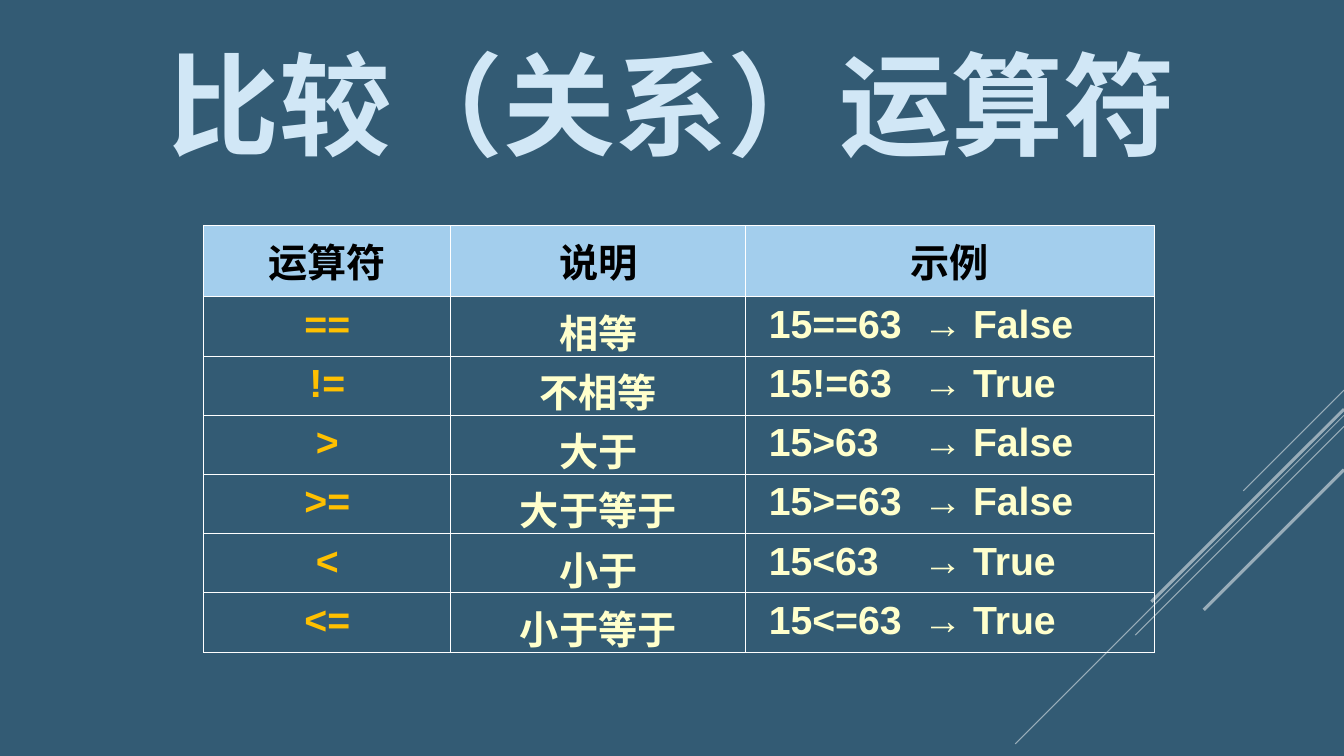
from lxml.etree import SubElement as Sub
from pptx import Presentation
from pptx.dml.color import RGBColor
from pptx.enum.shapes import MSO_CONNECTOR as Conn
from pptx.enum.text import PP_ALIGN as Align
from pptx.oxml.ns import qn
from pptx.util import Inches, Pt

WIDE, HIGH = 13.33, 7.5
HAN, LATIN = "Noto Sans CJK SC", "Arial"
CREAM, GOLD, WHITE = "FFFFCC", "FFC000", "FFFFFF"
RAYS = [(3.87, 1, 0.75), (4.12, 3.26, 0.75), (4.23, 2.07, 0.75),
        (4.06, 1.91, 2.25), (4.66, 1.39, 2.25)]
HEADS = ["运算符", "说明", "示例"]
ROWS = [("==", "相等", "False"), ("!=", "不相等", "True"),
        (">", "大于", "False"), (">=", "大于等于", "False"),
        ("<", "小于", "True"), ("<=", "小于等于", "True")]


def color(code):
    return RGBColor.from_string(code)


def write(para, text, size, face, tint, align=Align.CENTER):
    para.alignment = align
    run = para.add_run()
    run.text = text
    font = run.font
    font.size, font.bold, font.name = Pt(size), True, face
    font.color.rgb = color(tint)
    Sub(font._element, qn("a:ea"), typeface=face)


def draw_rays(slide, right):
    for top, span, width in RAYS:
        ends = [Inches(n) for n in (right, top, right - span, top + span)]
        ray = slide.shapes.add_connector(Conn.STRAIGHT, *ends)
        ray.line.width = Pt(width)
        ray.line.color.rgb = color(WHITE)
        tint = ray.line._ln.find(".//" + qn("a:srgbClr"))
        Sub(tint, qn("a:alpha"), val="50000")
        Sub(ray._element.spPr, qn("a:effectLst"))


def draw_title(slide, *box):
    shape = slide.shapes.add_textbox(*map(Inches, box))
    frame = shape.text_frame
    frame.word_wrap = True
    write(frame.paragraphs[0], "比较（关系）运算符", 80, HAN, "D1E7F6")


def frame_cell(cell):
    props = cell._tc.get_or_add_tcPr()
    for spot, side in enumerate(("a:lnL", "a:lnR", "a:lnT", "a:lnB")):
        edge = props.makeelement(qn(side), {"w": str(Pt(0.75))})
        Sub(Sub(edge, qn("a:solidFill")), qn("a:srgbClr"), val=WHITE)
        props.insert(spot, edge)


def style_cell(cell, fill=None, left=0.12):
    cell.margin_left, cell.margin_right = Inches(left), Inches(0.12)
    cell.margin_top = cell.margin_bottom = Inches(0.06)
    if fill:
        cell.fill.solid()
        cell.fill.fore_color.rgb = color(fill)
    else:
        cell.fill.background()
    frame_cell(cell)
    return cell.text_frame.paragraphs[0]


def add_tab(para, stop):
    tabs = Sub(para._p.get_or_add_pPr(), qn("a:tabLst"))
    Sub(tabs, qn("a:tab"), pos=str(Inches(stop)), algn="l")


def draw_table(slide, left, top, width, height):
    shape = slide.shapes.add_table(len(ROWS) + 1, len(HEADS),
                                   *map(Inches, (left, top, width, height)))
    table = shape.table
    for col, share in zip(table.columns, (0.26, 0.31, 0.43)):
        col.width = Inches(width * share)
    head = height / 6
    for num, row in enumerate(table.rows):
        row.height = Inches((height - head) / len(ROWS) if num else head)
    for col, text in enumerate(HEADS):
        para = style_cell(table.cell(0, col), "A3CEED")
        write(para, text, 28, HAN, "000000")
    for num, (sign, name, result) in enumerate(ROWS, 1):
        write(style_cell(table.cell(num, 0)), sign, 28, LATIN, GOLD)
        write(style_cell(table.cell(num, 1)), name, 28, HAN, CREAM)
        para = style_cell(table.cell(num, 2), left=0.23)
        add_tab(para, 1.53)
        write(para, f"15{sign}63\t→ {result}", 28, LATIN, CREAM, Align.LEFT)


def main():
    deck = Presentation()
    deck.slide_width, deck.slide_height = Inches(WIDE), Inches(HIGH)
    slide = deck.slides.add_slide(deck.slide_layouts[6])
    slide.background.fill.solid()
    slide.background.fill.fore_color.rgb = color("335B74")
    draw_rays(slide, WIDE)
    draw_title(slide, 0.51, 0.3, 12.3, 1.45)
    draw_table(slide, 2.02, 2.24, 9.43, 4.23)
    deck.save("out.pptx")


if __name__ == "__main__":
    main()
